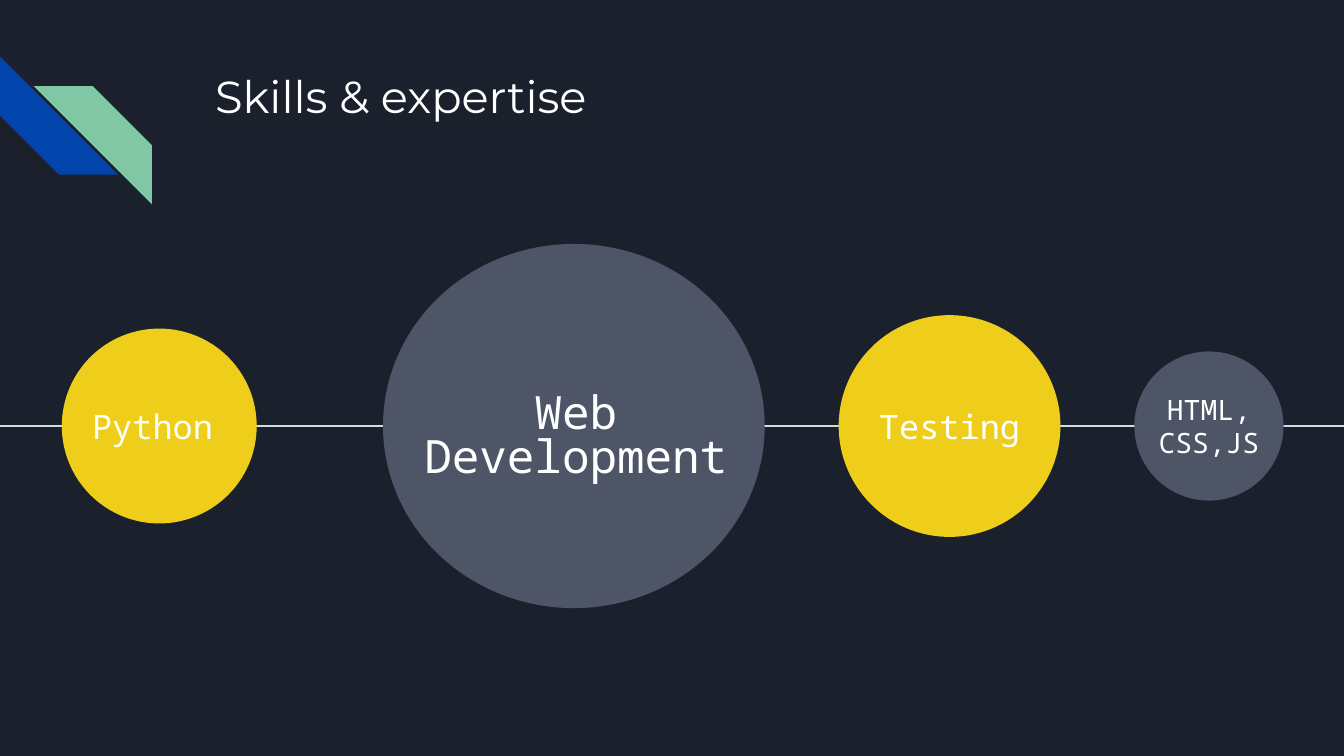
from pptx import Presentation
from pptx import util as u
from pptx.dml.color import RGBColor
from pptx.enum import shapes, text
from pptx.oxml.ns import qn
from lxml import etree

NAVY, WHITE, GREY = "1B212C", "FFFFFF", "D9D9D9"
BLUE, GREEN, YELLOW, SLATE = "0145AC", "82C7A5", "EECE1A", "4E5567"
AXIS_Y = 3.17


def color(value):
    return RGBColor.from_string(value)


def write_text(frame, words, *, size, font, ink=WHITE, align=text.PP_ALIGN.LEFT,
               anchor=text.MSO_ANCHOR.TOP, spacing=None):
    frame.word_wrap = True
    frame.auto_size = text.MSO_AUTO_SIZE.NONE
    frame.vertical_anchor = anchor
    frame.margin_left = frame.margin_right = u.Inches(0.1)
    frame.margin_top = frame.margin_bottom = u.Inches(0.1)
    paragraph = frame.paragraphs[0]
    paragraph.alignment = align
    paragraph.line_spacing = spacing
    run = paragraph.add_run()
    run.text = words
    run.font.size = u.Pt(size)
    run.font.name = font
    run.font.color.rgb = color(ink)


class SkillsSlide:
    heading_font = "Montserrat"
    label_font = "Noto Sans Mono"

    def __init__(self, presentation):
        self.slide = presentation.slides.add_slide(presentation.slide_layouts[5])
        self.slide.background.fill.solid()
        self.slide.background.fill.fore_color.rgb = color(NAVY)

    def title(self, words, left, top, width, height):
        heading = self.slide.shapes.title
        heading.left, heading.top = u.Inches(left), u.Inches(top)
        heading.width, heading.height = u.Inches(width), u.Inches(height)
        write_text(heading.text_frame, words, size=24, font=self.heading_font)

    def shape(self, preset, left, top, width, height, fill):
        figure = self.slide.shapes.add_shape(
            preset, u.Inches(left), u.Inches(top), u.Inches(width), u.Inches(height))
        figure.shadow.inherit = False
        figure.fill.solid()
        figure.fill.fore_color.rgb = color(fill)
        figure.line.fill.background()
        return figure

    def stripe(self, left, top, side, fill, rotation):
        band = self.shape(shapes.MSO_SHAPE.DIAGONAL_STRIPE, left, top, side, side, fill)
        band.adjustments[0] = 0.5
        band.rotation = rotation

    def line(self, start, end, y, ink, weight):
        axis = self.slide.shapes.add_connector(
            shapes.MSO_CONNECTOR.STRAIGHT,
            u.Inches(start), u.Inches(y), u.Inches(end), u.Inches(y))
        axis.line.color.rgb = color(ink)
        axis.line.width = u.Pt(weight)
        etree.SubElement(axis.element.spPr, qn("a:effectLst"))

    def label(self, words, left, top, width, height, size, spacing=None):
        box = self.slide.shapes.add_textbox(
            u.Inches(left), u.Inches(top), u.Inches(width), u.Inches(height))
        write_text(box.text_frame, words, size=size, font=self.label_font,
                   align=text.PP_ALIGN.CENTER, anchor=text.MSO_ANCHOR.MIDDLE,
                   spacing=spacing)

    def skill(self, words, left, width, height, fill, size,
              label_width=None, label_height=0.66, label_y=AXIS_Y, spacing=None):
        self.shape(shapes.MSO_SHAPE.OVAL, left, AXIS_Y - height / 2, width, height, fill)
        self.label(words, left, label_y - label_height / 2, label_width or width,
                   label_height, size, spacing)


def main():
    presentation = Presentation()
    # Widescreen, 16:9
    presentation.slide_width = u.Inches(10)
    presentation.slide_height = u.Inches(10 * 9 / 16)
    page = SkillsSlide(presentation)

    # Corner stripes and title
    page.stripe(0, 0.42, 0.88, BLUE, 270)
    page.stripe(0.25, 0.64, 0.88, GREEN, 90)
    page.title("Skills & expertise", 1.5, 0.41, 7.7, 1)

    # Skills strung along one axis
    page.line(0, 10, AXIS_Y, GREY, 1.5)
    page.skill("Python\t", 0.46, 1.45, 1.45, YELLOW, 18)
    page.skill("Web Development", 2.85, 2.84, 2.71, SLATE, 24.6,
               label_width=2.87, label_height=0.9, label_y=3.26, spacing=0.8)
    page.skill("Testing", 6.24, 1.65, 1.65, YELLOW, 18)
    page.skill("HTML, CSS,JS", 8.44, 1.11, 1.11, SLATE, 15)

    presentation.save("out.pptx")


if __name__ == "__main__":
    main()
